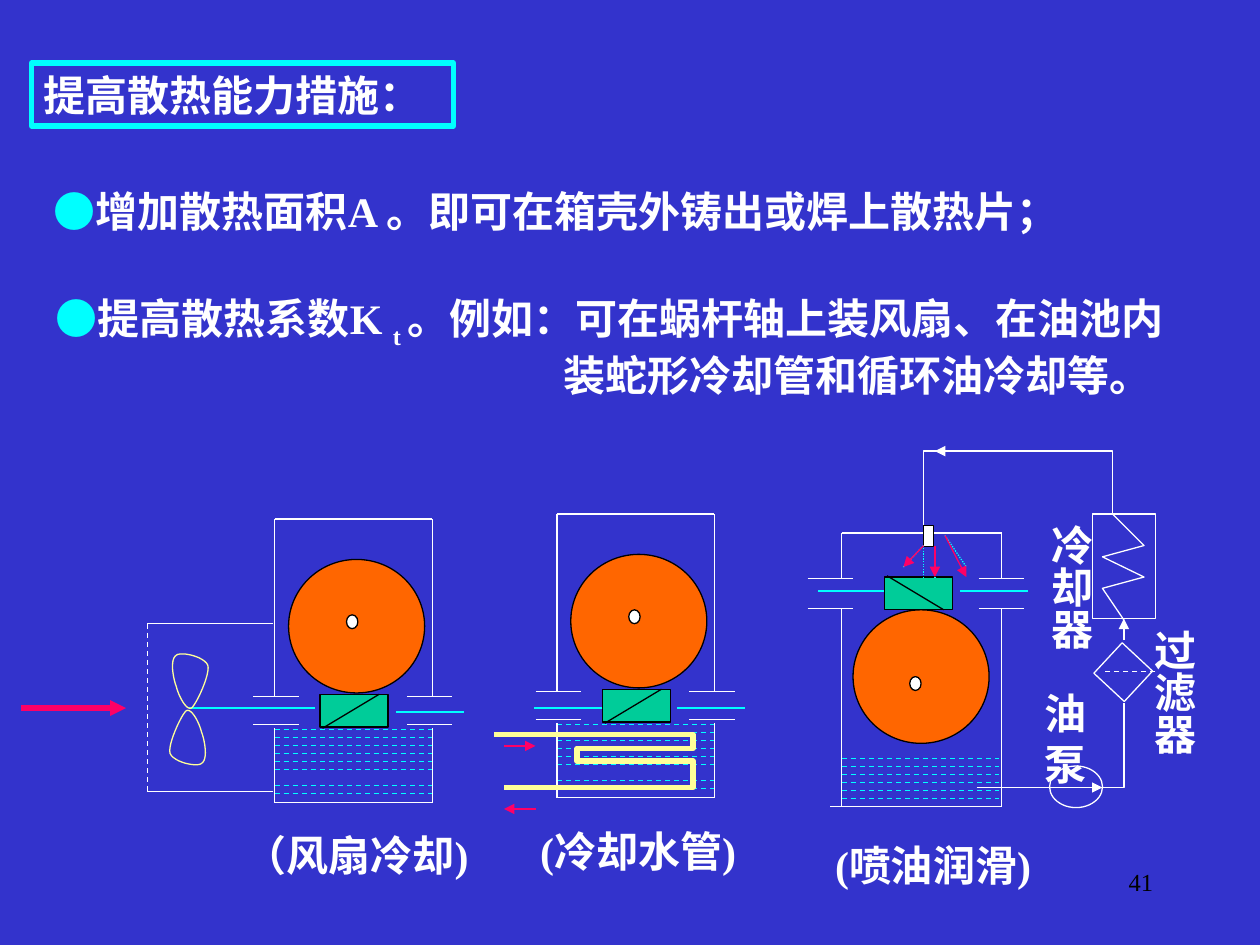
from dataclasses import dataclass
from lxml.etree import SubElement
from pptx import Presentation
from pptx.dml.color import RGBColor
from pptx.enum.dml import MSO_LINE
from pptx.enum.lang import MSO_LANGUAGE_ID
from pptx.enum.shapes import MSO_CONNECTOR, MSO_SHAPE
from pptx.enum.text import MSO_ANCHOR, MSO_AUTO_SIZE, PP_ALIGN
from pptx.oxml.ns import qn
from pptx.slide import Slide
from pptx.util import Inches, Pt

BLUE = RGBColor(0x33, 0x33, 0xCC)
WHITE = RGBColor(0xFF, 0xFF, 0xFF)
BLACK = RGBColor(0, 0, 0)
CYAN = RGBColor(0, 0xFF, 0xFF)
ORANGE = RGBColor(0xFF, 0x66, 0)
GREEN = RGBColor(0, 0xCC, 0x99)
YELLOW = RGBColor(0xFF, 0xFF, 0x99)
PINK = RGBColor(0xFF, 0, 0x66)


@dataclass
class Sheet:
    """Draws styled elements on the current page."""
    page: Slide
    font: str = "Times New Roman"
    size: float = 24
    thin: float = 0.75
    thick: float = 3

    def stroke(self, item, color, width=None, dash=None):
        item.line.color.rgb = color
        item.line.width = Pt(width or self.thin)
        if dash:
            item.line.dash_style = dash

    def line(self, x1, y1, x2, y2, color=WHITE, width=None, dash=None, arrow=False):
        link = self.page.shapes.add_connector(
            MSO_CONNECTOR.STRAIGHT, Inches(x1), Inches(y1), Inches(x2), Inches(y2))
        self.stroke(link, color, width, dash)
        properties = link.element.spPr
        if arrow:
            SubElement(properties.find(qn("a:ln")), qn("a:tailEnd"), type="triangle")
        SubElement(properties, qn("a:effectLst"))
        return link

    def shape(self, kind, x, y, width, height, color=WHITE, fill=None, weight=None):
        form = self.page.shapes.add_shape(
            kind, Inches(x), Inches(y), Inches(width), Inches(height))
        form.shadow.inherit = False
        self.stroke(form, color, weight)
        self.paint(form, fill)
        return form

    def paint(self, form, fill):
        if fill is None:
            form.fill.background()
        else:
            form.fill.solid()
            form.fill.fore_color.rgb = fill

    def outline(self, points, color=WHITE, width=None, close=False):
        corners = [(Inches(x), Inches(y)) for x, y in points]
        builder = self.page.shapes.build_freeform(*corners[0])
        builder.add_line_segments(corners[1:], close=close)
        form = builder.convert_to_shape()
        form.shadow.inherit = False
        self.stroke(form, color, width)
        self.paint(form, None)

    def set_text(self, box, paragraphs, align=PP_ALIGN.LEFT, wrap=True):
        frame = box.text_frame
        frame.word_wrap = wrap
        frame.vertical_anchor = MSO_ANCHOR.MIDDLE
        frame.auto_size = MSO_AUTO_SIZE.SHAPE_TO_FIT_TEXT
        for index, spans in enumerate(paragraphs):
            para = frame.add_paragraph() if index else frame.paragraphs[0]
            para.alignment = align
            for text, color in spans:
                self.span(para, text, color)
        return frame

    def span(self, para, text, color, size=None, bold=True):
        span = para.add_run()
        span.text = text
        font = span.font
        font.name, font.size, font.bold = self.font, Pt(size or self.size), bold
        font.color.rgb = color
        font.language_id = MSO_LANGUAGE_ID.SIMPLIFIED_CHINESE

    def box(self, x, y, width, height):
        return self.page.shapes.add_textbox(
            Inches(x), Inches(y), Inches(width), Inches(height))

    def label(self, text, x, y, width, height=0.5, vertical=False):
        box = self.box(x, y, width, height)
        frame = self.set_text(box, [[(text, WHITE)]], PP_ALIGN.CENTER, wrap=False)
        if vertical:
            frame.margin_left = frame.margin_right = Inches(0.05)
            frame.margin_top = frame.margin_bottom = Inches(0.1)
            box.element.txBody.bodyPr.set("vert", "eaVert")

    def oil(self, x, y, rows):
        for row in rows:
            level = y + 0.51 / 8 * row
            self.line(x, level, x + 1.25, level, CYAN, dash=MSO_LINE.DASH)

    def gear(self, x, wheel, worm, hole, thread):
        self.shape(MSO_SHAPE.OVAL, x, wheel, 1.08, 1.06, BLACK, ORANGE)
        self.shape(MSO_SHAPE.RECTANGLE, x + 0.25, worm, 0.54, 0.26, BLACK, GREEN)
        self.line(x + 0.72, thread[0], x + 0.27, thread[1], BLACK)
        self.shape(MSO_SHAPE.OVAL, *hole, 0.09, 0.11, BLACK, WHITE)

    def bearings(self, starts, levels):
        for x in starts:
            for y in levels:
                self.line(x, y, x + 0.36, y)

    def housing(self, x, y):
        self.line(x, y, x + 1.25, y)
        self.line(x, y + 2.25, x + 1.25, y + 2.25)
        self.gear(x + 0.11, y + 0.32, y + 1.39, (x + 0.57, y + 0.76), (y + 1.39, y + 1.66))
        self.oil(x, y + 1.67, (0, 1, 2, 3, 4, 5, 7, 8))
        for side in (x, x + 1.25):
            self.line(side, y, side, y + 1.41)
            self.line(side, y + 1.66, side, y + 2.25)
        self.bearings((x - 0.17, x + 1.05), (y + 1.41, y + 1.63))


def bezier(start, *curves, steps=12):
    points = [start]
    for a, b, end in curves:
        begin = points[-1]
        for step in range(1, steps + 1):
            t = step / steps
            weights = ((1 - t) ** 3, 3 * t * (1 - t) ** 2, 3 * t * t * (1 - t), t ** 3)
            points.append(tuple(sum(w * p[axis] for w, p in zip(weights, (begin, a, b, end)))
                                for axis in (0, 1)))
    return points


def draw_text(sheet):
    title = sheet.shape(MSO_SHAPE.RECTANGLE, 0.25, 0.5, 3.35, 0.5, CYAN, weight=sheet.thick)
    sheet.set_text(title, [[("提高散热能力措施：", WHITE)]])
    sheet.set_text(sheet.box(0.33, 1.42, 9.08, 0.5),
                   [[("●", CYAN), ("增加散热面积A 。即可在箱壳外铸出或焊上散热片；", WHITE)]])
    frame = sheet.set_text(sheet.box(0.25, 2.27, 9.25, 0.96), [
        [("●", CYAN), ("提高散热系数K ", WHITE), ("t ", WHITE),
         ("。例如：可在蜗杆轴上装风扇、在油池内 ", WHITE)],
        [("装蛇形冷却管和循环油冷却等。", WHITE)]], PP_ALIGN.CENTER)
    first, second = frame.paragraphs
    first.runs[2]._r.get_or_add_rPr().set("baseline", "-25000")
    second.alignment = PP_ALIGN.LEFT
    second._p.get_or_add_pPr().set("marL", str(Inches(4.12)))
    para = sheet.box(7.17, 6.83, 2.08, 0.5).text_frame.paragraphs[0]
    para.alignment, para.space_before = PP_ALIGN.RIGHT, Pt(8.8)
    sheet.span(para, "41", BLACK, 14, False)


def draw_fan_cooling(sheet):
    sheet.housing(2.18, 4.12)
    sheet.line(3.68, 5.65, 3.14, 5.65, CYAN)
    sheet.line(2.5, 5.62, 1.5, 5.62, CYAN)
    blade = bezier((1.52, 5.62), ((1.56, 5.59), (1.67, 5.35), (1.65, 5.28)),
                   ((1.62, 5.21), (1.44, 5.17), (1.4, 5.2)),
                   ((1.35, 5.23), (1.37, 5.37), (1.4, 5.45)),
                   ((1.42, 5.53), (1.48, 5.64), (1.52, 5.62)))
    sheet.outline(blade, YELLOW, close=True)
    sheet.outline([(3 - x, 11.26 - y) for x, y in blade], YELLOW, close=True)
    for y in (4.95, 6.28):
        sheet.line(2.17, y, 1.17, y)
    sheet.line(1.17, 4.95, 1.17, 6.28, dash=MSO_LINE.DASH)
    sheet.line(0.17, 5.62, 1, 5.62, PINK, sheet.thick, arrow=True)
    sheet.label("（风扇冷却)", 1.8, 6.53, 2.06)


def draw_water_cooling(sheet):
    sheet.housing(4.42, 4.08)
    for x in (4.24, 5.37):
        sheet.line(x + 0.54, 5.62, x, 5.62, CYAN)
    sheet.outline([(3.92, 5.83), (5.5, 5.83), (5.5, 5.94), (4.58, 5.94), (4.58, 6.04),
                   (5.5, 6.04), (5.5, 6.25), (4, 6.25)], YELLOW, sheet.thick)
    sheet.line(4, 5.92, 4.25, 5.92, PINK, arrow=True)
    sheet.line(4.25, 6.42, 4, 6.42, PINK, arrow=True)
    sheet.label("(冷却水管)", 4.11, 6.5, 1.91)


def draw_oil_spray(sheet):
    sheet.bearings((6.41, 7.77), (4.59, 4.83))
    for x in (6.68, 7.95):
        sheet.line(x, 4.23, x, 4.59)
        sheet.line(x, 4.83, x, 6.4)
    sheet.line(6.68, 4.23, 7.95, 4.23)
    sheet.line(6.59, 6.4, 7.95, 6.4)
    for x in (6.49, 7.62):
        sheet.line(x + 0.54, 4.69, x, 4.69, CYAN)
    sheet.gear(6.77, 4.84, 4.58, (7.22, 5.37), (4.84, 4.57))
    sheet.oil(6.68, 6.02, range(6))
    sheet.label("(喷油润滑)", 6.45, 6.61, 1.91)
    sheet.shape(MSO_SHAPE.OVAL, 8.33, 6.08, 0.42, 0.33)
    sheet.line(7.75, 6.25, 8.75, 6.25, arrow=True)
    sheet.shape(MSO_SHAPE.RECTANGLE, 8.75, 5.17, 0.33, 0.33).rotation = 42.9
    sheet.outline([(8.75, 6.25), (8.92, 6.25), (8.92, 5.58)])
    sheet.line(9.17, 5.33, 8.75, 5.33, dash=MSO_LINE.DASH)
    cooler = sheet.shape(MSO_SHAPE.RECTANGLE, 8.67, 4.08, 0.5, 0.83)
    sheet.outline([(8.83, 4.08), (9.08, 4.33), (8.75, 4.42), (9.08, 4.58),
                   (8.75, 4.67), (8.92, 4.92)])
    sheet.line(8.92, 5.08, 8.92, 4.92, arrow=True).end_connect(cooler, 2)
    sheet.outline([(8.83, 4.08), (8.83, 3.58), (7.33, 3.58), (7.33, 4.33)])
    sheet.line(7.92, 3.58, 7.42, 3.58, arrow=True)
    sheet.shape(MSO_SHAPE.RECTANGLE, 7.33, 4.17, 0.08, 0.17, BLACK, WHITE)
    for jet in ((7.33, 4.33, 7.17, 4.5), (7.5, 4.25, 7.67, 4.5),
                (7.42, 4.33, 7.42, 4.58), (7.33, 4.33, 7.33, 4.58)):
        sheet.line(*jet, CYAN, dash=MSO_LINE.ROUND_DOT)
    for jet in ((7.33, 4.33, 7.17, 4.5), (7.5, 4.25, 7.67, 4.58), (7.42, 4.33, 7.42, 4.58)):
        sheet.line(*jet, PINK, arrow=True)
    sheet.label("油泵", 8.03, 5.61, 0.86)
    sheet.label("过滤器", 9.02, 4.9, 0.6, 1.1, vertical=True)
    sheet.label("冷却器", 8.2, 4.06, 0.6, 1.1, vertical=True)


def main():
    deck = Presentation()
    deck.slide_width, deck.slide_height = Inches(10), Inches(7.5)
    page = deck.slides.add_slide(deck.slide_layouts[6])
    page.background.fill.solid()
    page.background.fill.fore_color.rgb = BLUE
    sheet = Sheet(page)
    for draw in (draw_text, draw_fan_cooling, draw_water_cooling, draw_oil_spray):
        draw(sheet)
    deck.save("out.pptx")


if __name__ == "__main__":
    main()
